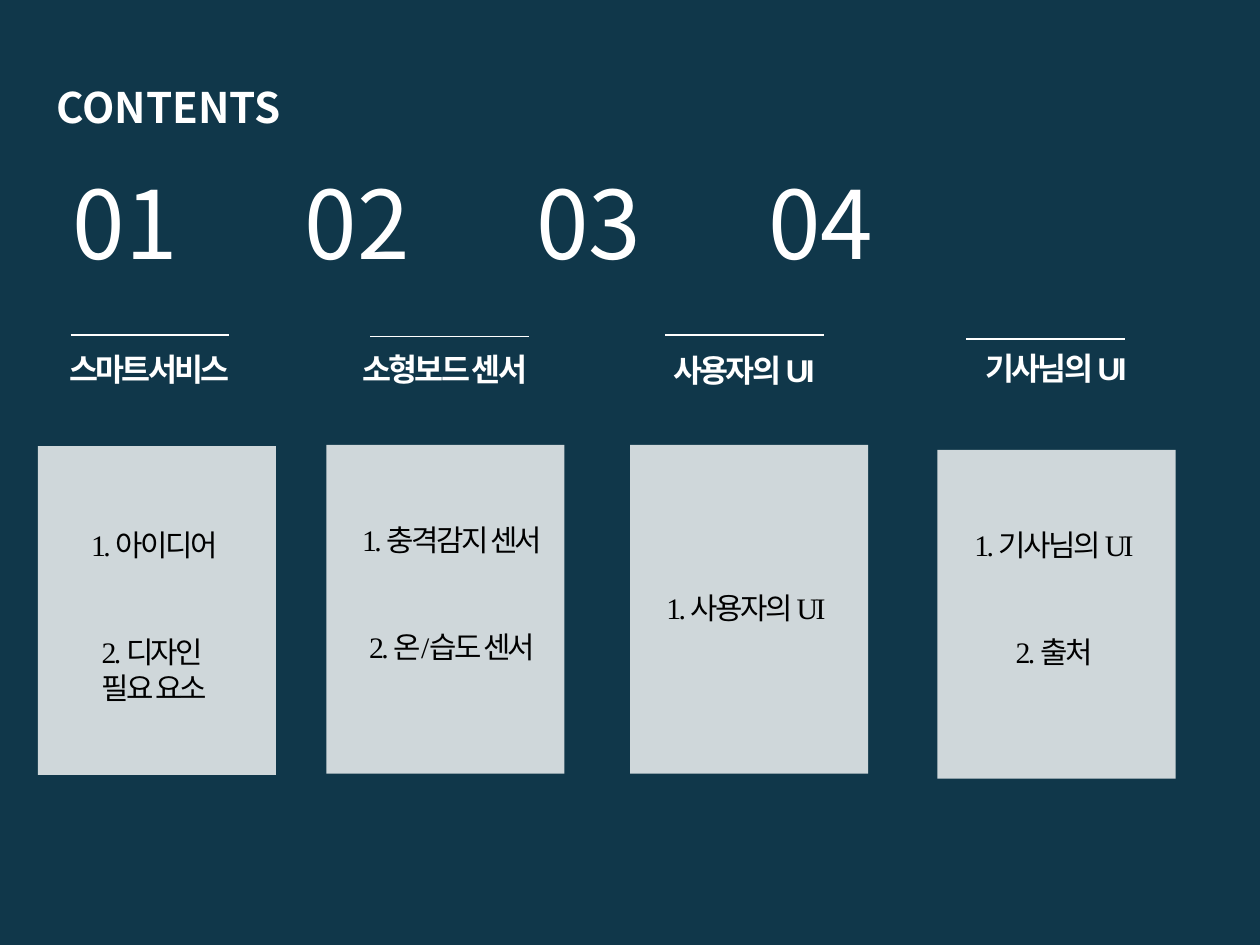
from typing import NamedTuple

from lxml.etree import SubElement
from pptx import Presentation
from pptx.dml.color import RGBColor
from pptx.enum.shapes import MSO_CONNECTOR, MSO_SHAPE
from pptx.enum.text import MSO_AUTO_SIZE, PP_ALIGN
from pptx.oxml.ns import qn
from pptx.util import Inches, Pt

NAVY = RGBColor(0x10, 0x37, 0x4A)
WHITE = RGBColor(0xFF, 0xFF, 0xFF)
BLACK = RGBColor(0x00, 0x00, 0x00)

# The slide is a grid of 100 columns by 75 rows of square cells
COLS, ROWS = 100, 75
CELL = Inches(10) // COLS
CARD_W, CARD_H, RULE_W = 18.9, 26.1, 12.6


class Box(NamedTuple):
    left: float
    top: float
    width: float
    height: float


class Style(NamedTuple):
    font: str
    size: float
    color: RGBColor
    bold: bool = False
    spacing: float = 0
    align: PP_ALIGN = PP_ALIGN.LEFT


class Line(NamedTuple):
    text: str
    before: float = 0


class Section(NamedTuple):
    heading: str
    heading_box: Box
    rule: tuple[float, float]
    card: tuple[float, float]
    items_box: Box
    items: list[Line]


TITLE = Style("Noto Sans CJK KR", 24, WHITE, bold=True)
NUMBER = Style("Noto Sans CJK KR", 54, WHITE)
HEADING = Style("Arial", 18, WHITE, True, -1.5, PP_ALIGN.CENTER)
ITEM = Style("Times New Roman", 17, BLACK, False, -1.5, PP_ALIGN.CENTER)
ITEM_GAP = 41

SECTIONS = [
    Section("스마트서비스", Box(-0.1, 27.3, 23.9, 4), (5.6, 26.6), (3, 35.4),
            Box(2.8, 41.3, 18.9, 15),
            [Line("1. 아이디어"), Line("2. 디자인 ", ITEM_GAP), Line("필요 요소")]),
    Section("소형보드 센서", Box(21.5, 27.3, 27.6, 4), (29.4, 26.7), (25.9, 35.3),
            Box(25.6, 40.9, 20.6, 12.5),
            [Line("1. 충격감지 센서"), Line("2. 온/습도 센서", ITEM_GAP)]),
    Section("사용자의 UI", Box(45.9, 27.4, 26.3, 4), (52.8, 26.6), (50, 35.3),
            Box(49.4, 46.3, 19.6, 4), [Line("1. 사용자의 UI")]),
    Section("기사님의 UI", Box(71.1, 27.2, 25.4, 4), (76.7, 26.9), (74.4, 35.7),
            Box(74.2, 41.3, 18.9, 12.5),
            [Line("1. 기사님의 UI"), Line("2. 출처", ITEM_GAP)]),
]


def cells(*counts: float) -> list[int]:
    return [round(n * CELL) for n in counts]


def add_text(s, box: Box, lines: list[Line], style: Style):
    sp = s.shapes.add_textbox(*cells(*box))
    tf = sp.text_frame
    tf.word_wrap = True
    tf.auto_size = MSO_AUTO_SIZE.SHAPE_TO_FIT_TEXT
    for i, line in enumerate(lines):
        p = tf.add_paragraph() if i else tf.paragraphs[0]
        p.alignment = style.align
        p.space_before = Pt(line.before)
        r = p.add_run()
        r.text = line.text
        r.font.name = style.font
        r.font.size = Pt(style.size)
        r.font.bold = style.bold
        r.font.color.rgb = style.color
        if style.spacing:
            r.font._element.set("spc", str(round(style.spacing * 100)))
    return sp


def add_tab_stops(p, stops: list[float]) -> None:
    tabs = SubElement(p._p.get_or_add_pPr(), qn("a:tabLst"))
    for pos in cells(*stops):
        SubElement(tabs, qn("a:tab"), pos=str(pos), algn="l")


def add_card(s, left: float, top: float) -> None:
    sp = s.shapes.add_shape(MSO_SHAPE.RECTANGLE, *cells(left, top, CARD_W, CARD_H))
    sp.shadow.inherit = False
    sp.fill.solid()
    sp.fill.fore_color.rgb = WHITE
    color = sp._element.spPr.find(qn("a:solidFill"))[0]
    SubElement(color, qn("a:alpha"), val="80000")
    sp.line.fill.background()


def add_rule(s, left: float, top: float) -> None:
    rule = s.shapes.add_connector(
        MSO_CONNECTOR.STRAIGHT, *cells(left, top, left + RULE_W, top))
    rule.line.color.rgb = WHITE
    rule.line.width = Pt(0.75)
    SubElement(rule._element.spPr, qn("a:effectLst"))


def main() -> None:
    prs = Presentation()
    prs.slide_width, prs.slide_height = cells(COLS, ROWS)
    s = prs.slides.add_slide(prs.slide_layouts[6])
    s.background.fill.solid()
    s.background.fill.fore_color.rgb = NAVY

    # Title and the evenly tabbed row of numbers
    add_text(s, Box(3.5, 6, 45.7, 5), [Line("CONTENTS")], TITLE)
    numbers = "".join(f"\t{n:02}" for n in range(1, len(SECTIONS) + 1))
    row = add_text(s, Box(1.4, 12.6, 95.7, 10.1), [Line(numbers)], NUMBER)
    add_tab_stops(row.text_frame.paragraphs[0],
                  [3.4 + 18.4 * i for i in range(len(SECTIONS))])

    # Sections: card, rule, heading and items
    for section in SECTIONS:
        add_card(s, *section.card)
        add_rule(s, *section.rule)
        add_text(s, section.heading_box, [Line(section.heading)], HEADING)
        add_text(s, section.items_box, section.items, ITEM)

    prs.save("out.pptx")


if __name__ == "__main__":
    main()
